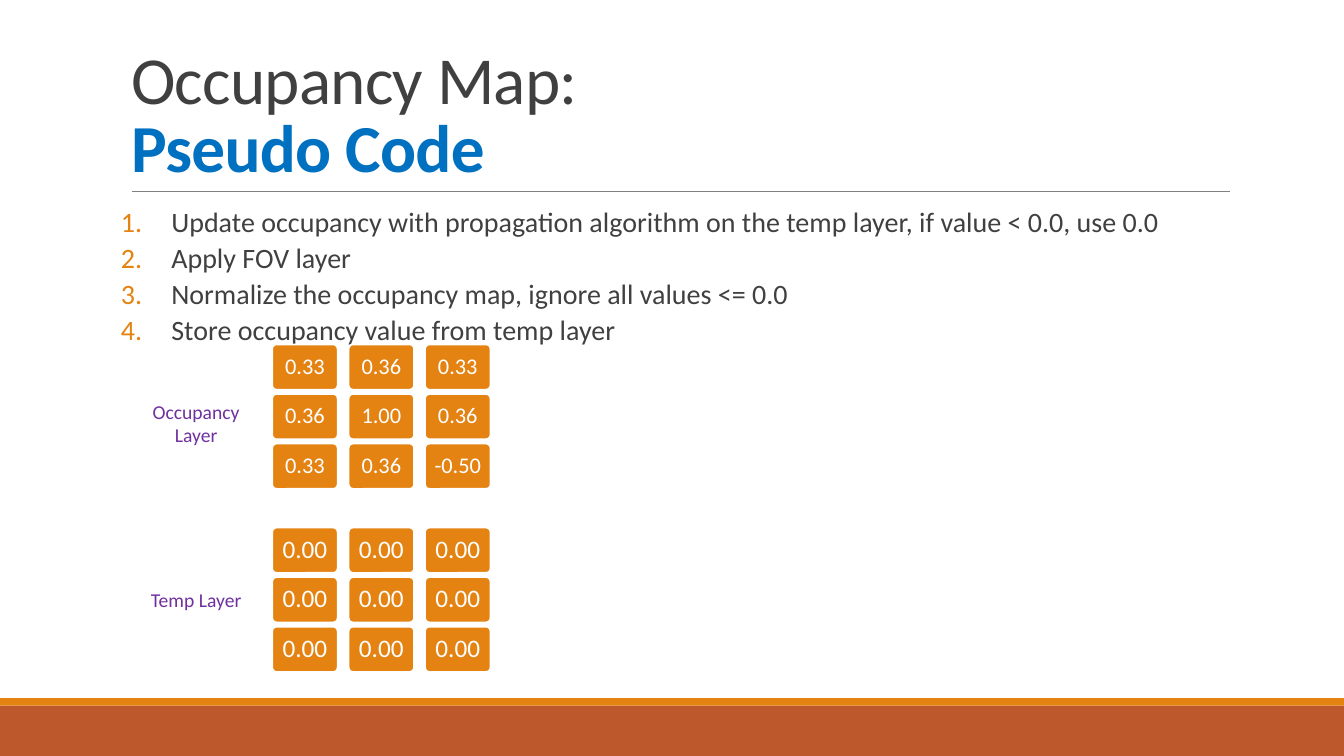
from typing import NamedTuple

from lxml import etree
from pptx import Presentation, util as u
from pptx.dml.color import RGBColor
from pptx.enum import shapes, text
from pptx.oxml import ns

PX = 7620  # EMU per px, 120 px to the inch
FONT = "Calibri"
HUES = {
    "white": "FFFFFF", "ink": "404040", "blue": "0070C0", "rule": "808080",
    "orange": "E48312", "rust": "BD582C", "purple": "7030A0",
}


class Box(NamedTuple):
    x: int
    y: int
    w: int
    h: int


class Layer(NamedTuple):
    name: str
    label: Box
    top: int
    size: int
    rows: list[list[str]]


LEFT, WIDTH = 144, 1320
GRID_X, STEP_X, STEP_Y = 324, 91, 59
CELL_W, CELL_H = 78, 54

BARS = [(Box(0, 840, 1600, 60), "rust"), (Box(0, 831, 1600, 9), "orange")]
STEPS = [
    "Update occupancy with propagation algorithm on the temp layer, "
    "if value < 0.0, use 0.0",
    "Apply FOV layer",
    "Normalize the occupancy map, ignore all values <= 0.0",
    "Store occupancy value from temp layer",
]
LAYERS = [
    Layer("Occupancy Layer", Box(LEFT, 470, 179, 68), 410, 16,
          [["0.33", "0.36", "0.33"],
           ["0.36", "1.00", "0.36"],
           ["0.33", "0.36", "-0.50"]]),
    Layer("Temp Layer", Box(LEFT, 694, 179, 41), 628, 18, [["0.00"] * 3] * 3),
]


def hue(name: str) -> RGBColor:
    return RGBColor.from_string(HUES[name])


def emu(box: Box) -> list[int]:
    return [side * PX for side in box]


def add_run(para, words: str, size: int, tint: str, bold: bool = False):
    run = para.add_run()
    run.text = words
    font = run.font
    font.name, font.size, font.bold = FONT, u.Pt(size), bold
    font.color.rgb = hue(tint)
    return run


def add_block(slide, kind, box: Box, tint: str):
    block = slide.shapes.add_shape(kind, *emu(box))
    block.shadow.inherit = False
    block.fill.solid()
    block.fill.fore_color.rgb = hue(tint)
    block.line.fill.background()
    return block


def add_text(slide, box: Box):
    frame = slide.shapes.add_textbox(*emu(box)).text_frame
    frame.word_wrap = True
    return frame


def add_rule(slide, x: int, y: int, end: int) -> None:
    rule = slide.shapes.add_connector(
        shapes.MSO_CONNECTOR.STRAIGHT, x * PX, y * PX, end * PX, y * PX)
    rule.line.color.rgb = hue("rule")
    rule.line.width = u.Pt(0.5)
    etree.SubElement(rule._element.spPr, ns.qn("a:effectLst"))


def set_title(slide, box: Box) -> None:
    title = slide.shapes.title
    title.left, title.top, title.width, title.height = emu(box)
    frame = title.text_frame
    frame.auto_size = text.MSO_AUTO_SIZE.NONE
    frame.vertical_anchor = text.MSO_ANCHOR.BOTTOM
    para = frame.paragraphs[0]
    para.alignment = text.PP_ALIGN.LEFT
    para.line_spacing = 0.85
    first = add_run(para, "Occupancy Map:", 48, "ink")
    para.add_line_break()
    second = add_run(para, "Pseudo Code", 48, "blue", bold=True)
    for run in (first, second):
        run.font._element.set("spc", "-50")


def add_steps(slide, box: Box) -> None:
    frame = add_text(slide, box)
    frame.margin_left = frame.margin_right = 0
    for i, step in enumerate(STEPS):
        para = frame.add_paragraph() if i else frame.paragraphs[0]
        props = para._p.get_or_add_pPr()
        props.set("marL", str(60 * PX))
        props.set("indent", str(-60 * PX))
        tint = etree.SubElement(props, ns.qn("a:buClr"))
        etree.SubElement(tint, ns.qn("a:srgbClr"), val=HUES["orange"])
        etree.SubElement(props, ns.qn("a:buFont"), typeface="+mj-lt")
        etree.SubElement(props, ns.qn("a:buAutoNum"), type="arabicPeriod")
        para.line_spacing = 0.9
        para.space_before = u.Pt(2 if i else 0)
        para.space_after = u.Pt(2)
        add_run(para, step, 20, "ink")


def add_cell(slide, box: Box, value: str, size: int) -> None:
    cell = add_block(slide, shapes.MSO_SHAPE.ROUNDED_RECTANGLE, box, "orange")
    cell.adjustments[0] = 0.1
    cell.line.color.rgb = hue("white")
    cell.line.width = u.Pt(1.25)
    frame = cell.text_frame
    frame.word_wrap = False
    frame.vertical_anchor = text.MSO_ANCHOR.MIDDLE
    frame.margin_left = frame.margin_right = 10 * PX
    frame.margin_top = frame.margin_bottom = 10 * PX
    para = frame.paragraphs[0]
    para.alignment = text.PP_ALIGN.CENTER
    para.line_spacing = 0.9
    add_run(para, value, size, "white")


def add_layer(slide, layer: Layer) -> None:
    para = add_text(slide, layer.label).paragraphs[0]
    para.alignment = text.PP_ALIGN.CENTER
    add_run(para, layer.name, 14, "purple")
    for r, row in enumerate(layer.rows):
        for c, value in enumerate(row):
            box = Box(GRID_X + c * STEP_X, layer.top + r * STEP_Y,
                      CELL_W, CELL_H)
            add_cell(slide, box, value, layer.size)


def main() -> None:
    deck = Presentation()
    deck.slide_width, deck.slide_height = 1600 * PX, 900 * PX
    slide = deck.slides.add_slide(deck.slide_layouts.get_by_name("Title Only"))

    # Footer bars and title rule
    for box, tint in BARS:
        add_block(slide, shapes.MSO_SHAPE.RECTANGLE, box, tint)
    add_rule(slide, 157, 228, 1464)

    # Title and numbered steps
    set_title(slide, Box(LEFT, 37, WIDTH, 191))
    add_steps(slide, Box(LEFT, 242, WIDTH, 528))

    # Value grids with their labels
    for layer in LAYERS:
        add_layer(slide, layer)

    deck.save("out.pptx")


if __name__ == "__main__":
    main()
